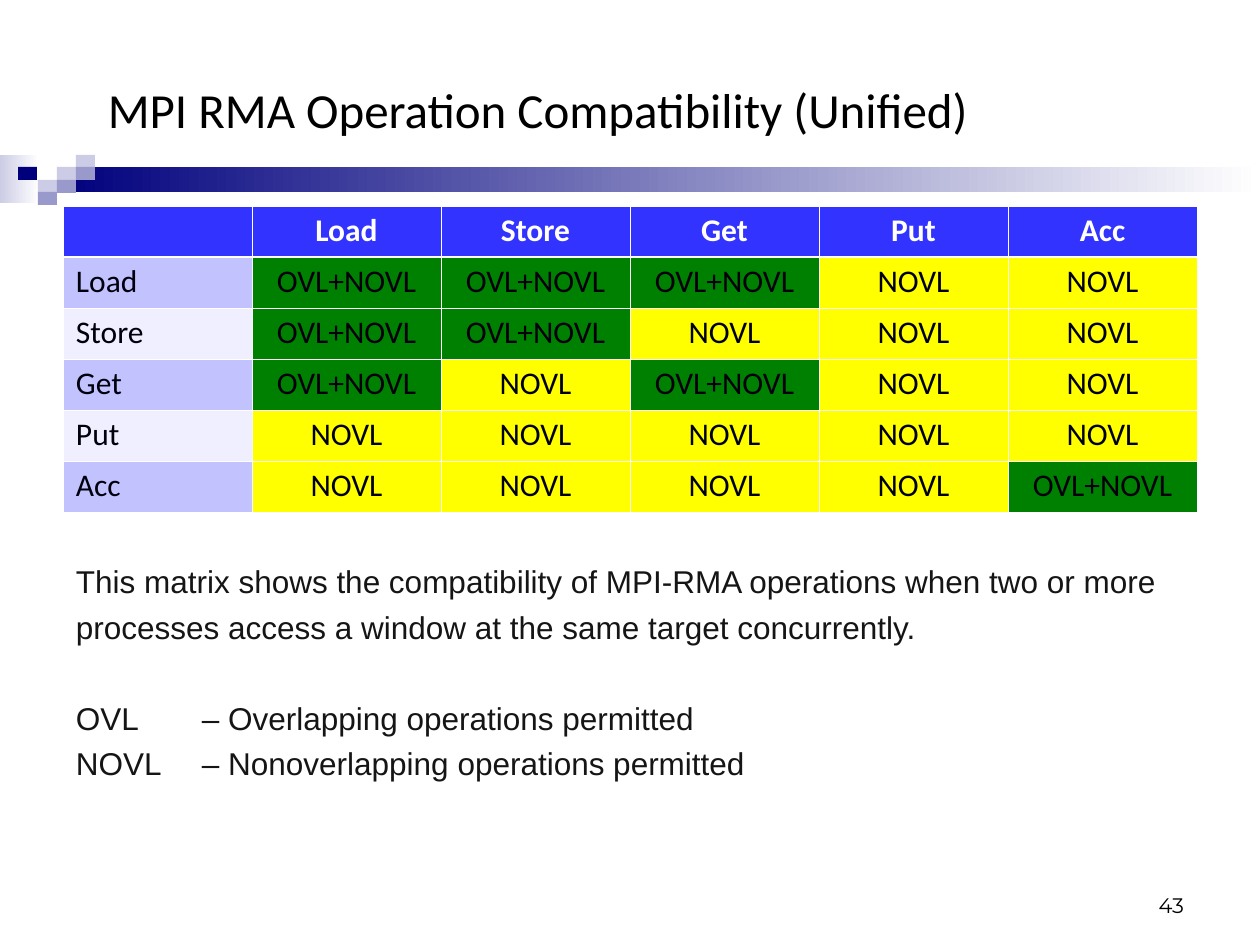
from lxml.etree import SubElement
from pptx import Presentation
from pptx.dml.color import RGBColor
from pptx.enum.shapes import MSO_SHAPE
from pptx.enum.text import MSO_ANCHOR, PP_ALIGN
from pptx.oxml.ns import qn
from pptx.util import Pt

EMU_PER_INCH = 914400
PX_PER_INCH = 126
INSET_X, INSET_Y = 13, 6

NAVY, LAVENDER, PERIWINKLE = "00007D", "CCCCE6", "9999CC"
WHITE, BLACK, CELL_INK, BODY_INK = "FFFFFF", "000000", "00000D", "151515"
HEADER_FILL = "3333FF"
LABEL_FILLS = ["C2C2FF", "EFEFFF"]
VERDICT_FILLS = {"OVL+NOVL": "008000", "NOVL": "FFFF00"}

OPERATIONS = ["Load", "Store", "Get", "Put", "Acc"]
OVERLAP_PAIRS = {
    ("Load", "Load"), ("Load", "Store"), ("Load", "Get"),
    ("Store", "Load"), ("Store", "Store"),
    ("Get", "Load"), ("Get", "Get"),
    ("Acc", "Acc"),
}
EXPLANATION = ("This matrix shows the compatibility of MPI-RMA operations when two or more "
               "processes access a window at the same target concurrently.")
LEGEND = ["OVL \t– Overlapping operations permitted",
          "NOVL \t– Nonoverlapping operations permitted"]


def px(length):
    return round(length * EMU_PER_INCH / PX_PER_INCH)


def color(hex_string):
    return RGBColor.from_string(hex_string)


def style_font(paragraph, name, size, ink, bold=False):
    for run in paragraph.runs:
        font = run.font
        font.name, font.size, font.bold = name, Pt(size), bold
        font.color.rgb = color(ink)


def add_block(slide, left, top, width, height, fill, fade_to=None):
    """Add a borderless rectangle, fading from left to right if fade_to is given."""
    shape = slide.shapes.add_shape(MSO_SHAPE.RECTANGLE, px(left), px(top), px(width), px(height))
    shape.shadow.inherit = False
    shape.line.fill.background()
    if fade_to:
        shape.fill.gradient()
        shape.fill.gradient_angle = 0
        for stop, shade in zip(shape.fill.gradient_stops, (fill, fade_to)):
            stop.color.rgb = color(shade)
    else:
        shape.fill.solid()
        shape.fill.fore_color.rgb = color(fill)


def add_text(slide, left, top, width, height, lines, anchor=MSO_ANCHOR.TOP):
    box = slide.shapes.add_textbox(px(left), px(top), px(width), px(height))
    frame = box.text_frame
    frame.word_wrap = True
    frame.vertical_anchor = anchor
    frame.margin_left = frame.margin_right = px(INSET_X)
    frame.margin_top = frame.margin_bottom = px(INSET_Y)
    frame.text = "\n".join(lines)
    return frame.paragraphs


def add_divider(slide, left, top, width):
    """Add the fading bar with its mosaic of small tiles."""
    tile_width, tile_height = 19, 13
    add_block(slide, left, top, 39, 48, LAVENDER, WHITE)
    add_block(slide, left + 57, top + 12, width - 57, 25, NAVY, WHITE)
    tiles = [(57, 12, LAVENDER), (76, 0, LAVENDER), (76, 12, PERIWINKLE),
             (38, 25, LAVENDER), (18, 12, NAVY), (57, 25, PERIWINKLE), (38, 37, PERIWINKLE)]
    for x, y, fill in tiles:
        add_block(slide, left + x, top + y, tile_width, tile_height, fill)


def add_title(slide, left, top, width, height):
    paragraph, = add_text(slide, left, top, width, height,
                          ["MPI RMA Operation Compatibility (Unified)"], MSO_ANCHOR.MIDDLE)
    style_font(paragraph, "Calibri", 28, BLACK)


def set_borders(cell, widths):
    properties = cell._tc.get_or_add_tcPr()
    for side, width in widths.items():
        line = SubElement(properties, qn(f"a:ln{side}"), w=str(Pt(width)))
        fill = SubElement(line, qn("a:solidFill"))
        SubElement(fill, qn("a:srgbClr"), val=WHITE)


def matrix_entry(row, column):
    """Return the text, fill, ink and alignment of one table cell."""
    if row == 0:
        return ["", *OPERATIONS][column], HEADER_FILL, WHITE, PP_ALIGN.CENTER
    operation = OPERATIONS[row - 1]
    if column == 0:
        return operation, LABEL_FILLS[(row - 1) % 2], CELL_INK, PP_ALIGN.LEFT
    allowed = (operation, OPERATIONS[column - 1]) in OVERLAP_PAIRS
    verdict = "OVL+NOVL" if allowed else "NOVL"
    return verdict, VERDICT_FILLS[verdict], CELL_INK, PP_ALIGN.CENTER


def add_matrix(slide, left, top, width, height):
    count = len(OPERATIONS) + 1
    table = slide.shapes.add_table(count, count, px(left), px(top), px(width), px(height)).table
    table.first_row = table.horz_banding = False
    thin, thick = 0.45, 1.47
    for row in range(count):
        table.rows[row].height = px(height / count)
        table.columns[row].width = px(width / count)
        for column in range(count):
            text, fill, ink, alignment = matrix_entry(row, column)
            cell = table.cell(row, column)
            set_borders(cell, {"L": thin, "R": thin,
                               "T": thick if row == 1 else thin,
                               "B": thick if row == 0 else thin})
            cell.fill.solid()
            cell.fill.fore_color.rgb = color(fill)
            cell.margin_left = cell.margin_right = px(INSET_X)
            cell.margin_top = cell.margin_bottom = px(INSET_Y)
            cell.text_frame.text = text
            paragraph = cell.text_frame.paragraphs[0]
            paragraph.alignment = alignment
            style_font(paragraph, "Calibri", 18, ink, bold=row == 0)


def add_explanation(slide, left, top, width, height):
    paragraphs = add_text(slide, left, top, width, height, [EXPLANATION, *LEGEND])
    for paragraph in paragraphs:
        paragraph.line_spacing = 1.2
        tabs = SubElement(paragraph._p.get_or_add_pPr(), qn("a:tabLst"))
        SubElement(tabs, qn("a:tab"), pos=str(px(PX_PER_INCH)), algn="l")
        style_font(paragraph, "Arial", 18, BODY_INK)
    paragraphs[1].space_before = Pt(26)


def add_page_number(slide, left, top, width, height):
    paragraph, = add_text(slide, left, top, width, height, ["43"], MSO_ANCHOR.BOTTOM)
    paragraph.alignment = PP_ALIGN.RIGHT
    style_font(paragraph, "Montserrat", 12, BLACK)


def main():
    presentation = Presentation()
    presentation.slide_width, presentation.slide_height = px(1260), px(945)
    slide = presentation.slides.add_slide(presentation.slide_layouts[6])
    add_divider(slide, 0, 155, 1260)
    add_title(slide, 95, 53, 1061, 112)
    add_matrix(slide, 63, 206, 1134, 306)
    add_explanation(slide, 63, 549, 1134, 240)
    add_page_number(slide, 903, 861, 294, 63)
    presentation.save("out.pptx")


if __name__ == "__main__":
    main()
